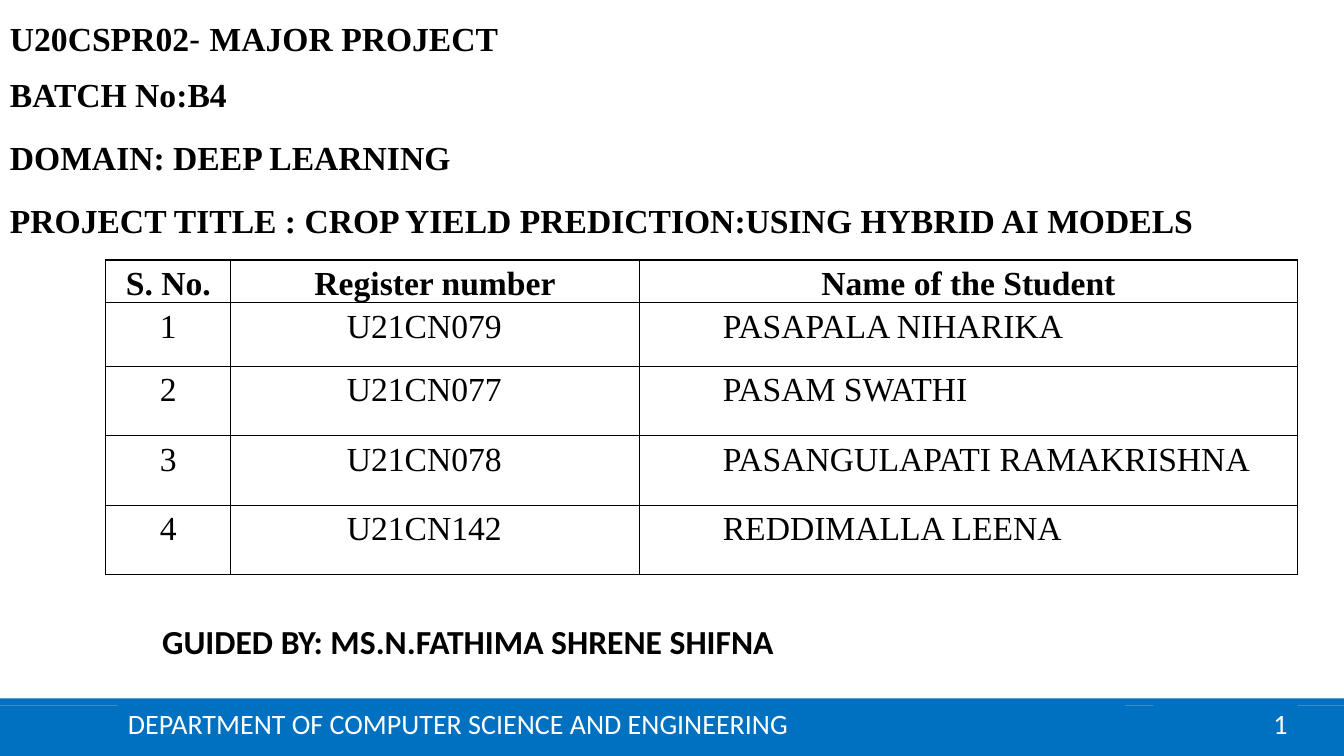
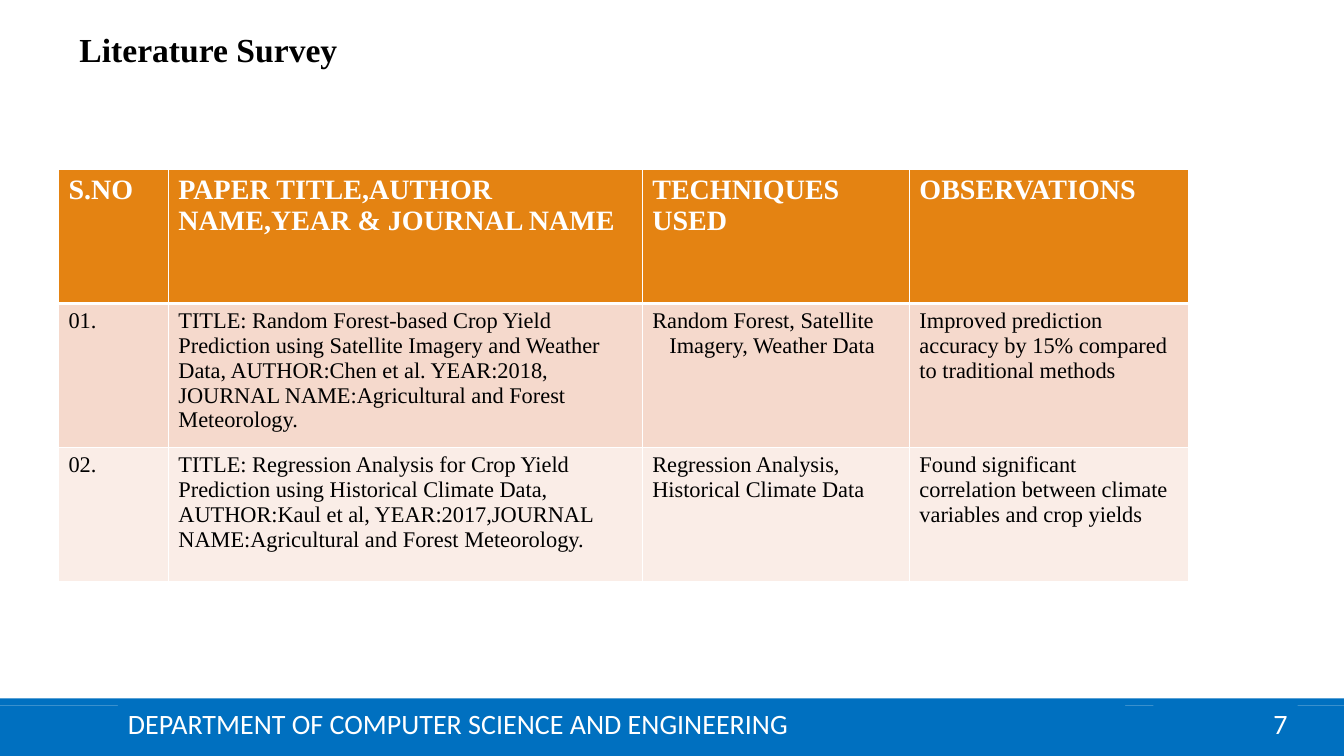
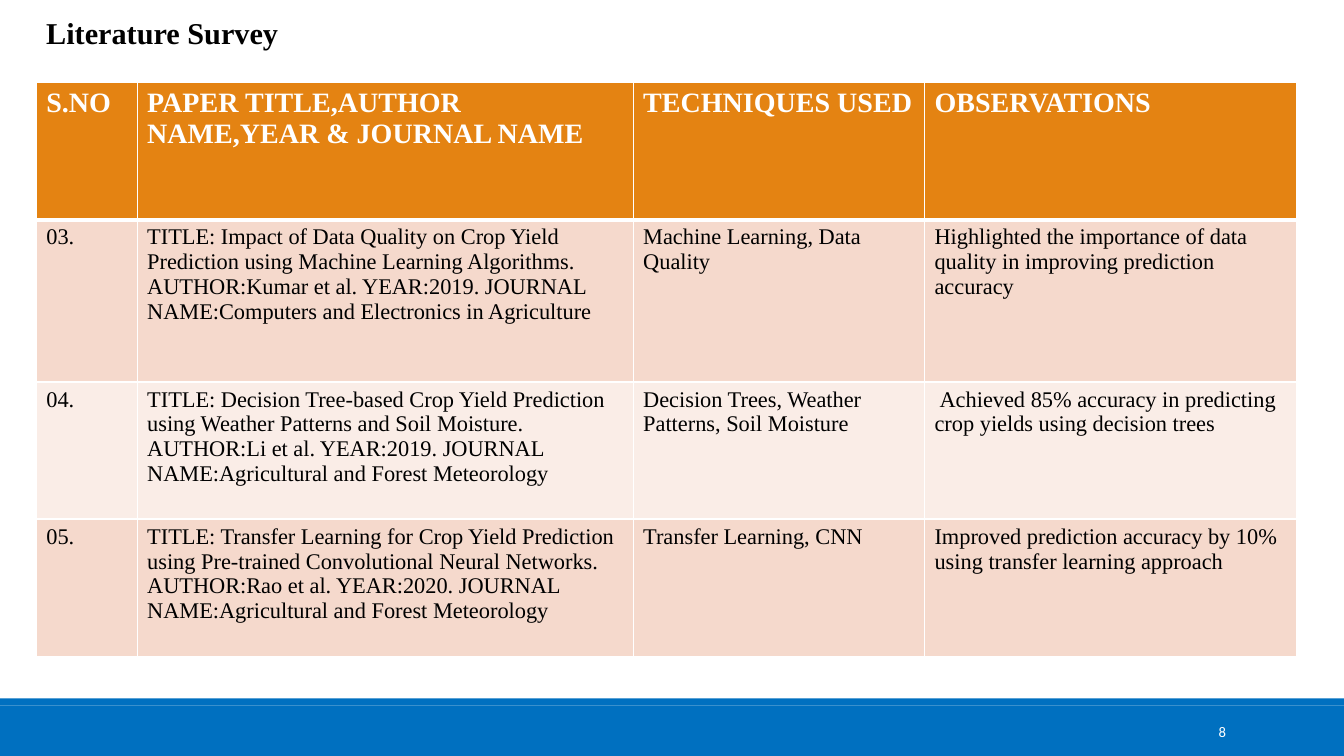
from dataclasses import dataclass

from pptx import Presentation
from pptx.dml.color import RGBColor
from pptx.enum import shapes, text
from pptx.oxml import parse_xml
from pptx.oxml.ns import nsdecls
from pptx.util import Inches, Pt


@dataclass(frozen=True)
class Theme:
    blue: str = "0070C0"
    orange: str = "E48312"
    dark_band: str = "F5D9CC"
    light_band: str = "FAEDE7"
    black: str = "000000"
    white: str = "FFFFFF"
    serif: str = "Times New Roman"
    sans: str = "Calibri"
    plain: str = "Arial"
    large: float = 24
    title_small: float = 21.6
    footer: float = 20
    table_head: float = 20
    body: float = 16
    number_small: float = 10.5


THEME = Theme()
LEFT, CENTER, RIGHT = text.PP_ALIGN.LEFT, text.PP_ALIGN.CENTER, text.PP_ALIGN.RIGHT
HEADING = dict(size=THEME.large, name=THEME.serif, bold=True)

# Content: cover
COVER_LINES = [
    (0.13, [("U20CSPR02", {}), ("- ", dict(name=THEME.plain, bold=False)),
            ("MAJOR PROJECT", {})]),
    (0.68, [("BATCH No:B4", {})]),
    (1.31, [("DOMAIN: DEEP LEARNING", {})]),
    (1.93, [("PROJECT TITLE : CROP YIELD PREDICTION:USING HYBRID AI MODELS", {})]),
]
GUIDE = "GUIDED BY: MS.N.FATHIMA SHRENE SHIFNA"
DEPARTMENT = "DEPARTMENT OF COMPUTER SCIENCE AND ENGINEERING"
STUDENTS = [
    ("S. No.", "Register number", "Name of the Student"),
    ("1", "U21CN079", "PASAPALA NIHARIKA"),
    ("2", "U21CN077", "PASAM SWATHI"),
    ("3", "U21CN078", "PASANGULAPATI RAMAKRISHNA"),
    ("4", "U21CN142", "REDDIMALLA LEENA"),
]
STUDENT_INDENTS = (0, 1.08, 0.76)

# Content: surveys; indents are (left margin, first line) by (row, column)
SURVEY_HEAD = ("S.NO", "PAPER TITLE,AUTHOR NAME,YEAR & JOURNAL NAME",
               "TECHNIQUES USED", "OBSERVATIONS")
SURVEYS = [
    dict(
        number="7", footer=True, title_at=(0.69, 0.24), title_size=THEME.large,
        at=(0.58, 1.68), columns=(1.09, 4.7, 2.65, 2.77), heights=(1.33, 1.33, 1.33),
        indents={(1, 2): (0.17, -0.17)},
        rows=[
            ("01.",
             "TITLE: Random Forest-based Crop Yield Prediction using Satellite Imagery "
             "and Weather Data, AUTHOR:Chen et al. YEAR:2018, JOURNAL "
             "NAME:Agricultural and Forest Meteorology.",
             "Random Forest, Satellite Imagery, Weather Data",
             "Improved prediction accuracy by 15% compared to traditional methods"),
            ("02.",
             "TITLE: Regression Analysis for Crop Yield Prediction using Historical "
             "Climate Data, AUTHOR:Kaul et al, YEAR:2017,JOURNAL "
             "NAME:Agricultural and Forest Meteorology.",
             "Regression Analysis, Historical Climate Data",
             "Found significant correlation between climate variables and crop yields"),
        ]),
    dict(
        number="8", footer=False, title_at=(0.36, 0.09), title_size=THEME.title_small,
        at=(0.36, 0.82), columns=(1, 4.92, 2.89, 3.69), heights=(1.36, 1.61, 1.36, 1.36),
        indents={(2, 3): (0, 0.05)},
        rows=[
            ("03.",
             "TITLE: Impact of Data Quality on Crop Yield Prediction using Machine "
             "Learning Algorithms.\nAUTHOR:Kumar et al. YEAR:2019. JOURNAL "
             "NAME:Computers and Electronics in Agriculture",
             "Machine Learning, Data Quality",
             "Highlighted the importance of data quality in improving prediction accuracy"),
            ("04.",
             "TITLE: Decision Tree-based Crop Yield Prediction using Weather Patterns "
             "and Soil Moisture.\nAUTHOR:Li et al. YEAR:2019. JOURNAL "
             "NAME:Agricultural and Forest Meteorology",
             "Decision Trees, Weather Patterns, Soil Moisture",
             "Achieved 85% accuracy in predicting crop yields using decision trees"),
            ("05.",
             "TITLE: Transfer Learning for Crop Yield Prediction using Pre-trained "
             "Convolutional Neural Networks.\nAUTHOR:Rao et al. YEAR:2020. JOURNAL "
             "NAME:Agricultural and Forest Meteorology",
             "Transfer Learning, CNN",
             "Improved prediction accuracy by 10% using transfer learning approach"),
        ]),
]


# Text helpers
def write_run(paragraph, words, color=THEME.black, **font):
    run = paragraph.add_run()
    run.text = words
    run.font.color.rgb = RGBColor.from_string(color)
    for key, value in font.items():
        setattr(run.font, key, Pt(value) if key == "size" else value)


def add_text(slide, left, top, width, runs, **font):
    box = slide.shapes.add_textbox(*map(Inches, (left, top, width, 0.5)))
    box.text_frame.word_wrap = True
    for words, changes in runs:
        write_run(box.text_frame.paragraphs[0], words, **{**font, **changes})


# Blue bands and footer
def add_bar(slide, box, words="", align=LEFT, size=THEME.footer):
    bar = slide.shapes.add_shape(shapes.MSO_SHAPE.RECTANGLE, *map(Inches, box))
    bar.shadow.inherit = False
    bar.fill.solid()
    bar.fill.fore_color.rgb = RGBColor.from_string(THEME.blue)
    bar.line.fill.background()
    if words:
        bar.text_frame.vertical_anchor = text.MSO_ANCHOR.MIDDLE
        paragraph = bar.text_frame.paragraphs[0]
        paragraph.alignment = align
        write_run(paragraph, words, THEME.white, size=size, name=THEME.sans)


def new_slide(presentation, number, footer=True):
    slide = presentation.slides.add_slide(presentation.slide_layouts[6])
    add_bar(slide, (0, 7, 13.33, 0.5))
    add_bar(slide, (0, 6.93, 13.33, 0.07))
    if footer:
        add_bar(slide, (11.44, 6.98, 1.43, 0.4), number, RIGHT)
        add_bar(slide, (1.17, 6.98, 9.99, 0.39), DEPARTMENT)
    else:
        add_bar(slide, (10.83, 7.06, 1.43, 0.4), number, RIGHT, THEME.number_small)
    return slide


# Tables
def add_table(slide, at, columns, heights):
    size = (sum(columns), sum(heights))
    table = slide.shapes.add_table(len(heights), len(columns),
                                   *map(Inches, at + size)).table
    for column, width in zip(table.columns, columns):
        column.width = Inches(width)
    for row, height in zip(table.rows, heights):
        row.height = Inches(height)
    return table


def style_cell(cell, border, fill=None, top=1, bottom=1):
    properties = cell._tc.get_or_add_tcPr()
    for side, width in zip("LRTB", (1, 1, top, bottom)):
        properties.append(parse_xml(
            f'<a:ln{side} {nsdecls("a")} w="{Pt(width)}"><a:solidFill>'
            f'<a:srgbClr val="{border}"/></a:solidFill></a:ln{side}>'))
    if fill:
        cell.fill.solid()
        cell.fill.fore_color.rgb = RGBColor.from_string(fill)
    else:
        cell.fill.background()


def fill_cell(cell, words, align=LEFT, spacing=1.0, indent=(0, 0), **font):
    for index, line in enumerate(words.split("\n")):
        frame = cell.text_frame
        paragraph = frame.add_paragraph() if index else frame.paragraphs[0]
        paragraph.alignment = align
        paragraph.line_spacing = spacing
        properties = paragraph._p.get_or_add_pPr()
        for key, value in zip(("marL", "indent"), indent):
            properties.set(key, str(Inches(value)))
        write_run(paragraph, line, **font)


def add_students(slide):
    table = add_table(slide, (1.05, 2.58), (1.24, 4.05, 6.53),
                      (0.41, 0.63, 0.69, 0.69, 0.69))
    margins = dict(margin_left=0.07, margin_right=0.07, margin_top=0, margin_bottom=0)
    for r, row in enumerate(STUDENTS):
        for c, words in enumerate(row):
            cell = table.cell(r, c)
            for key, value in margins.items():
                setattr(cell, key, Inches(value))
            style_cell(cell, THEME.black)
            centered = r == 0 or c == 0
            fill_cell(cell, words, CENTER if centered else LEFT, 1.15,
                      (0 if centered else STUDENT_INDENTS[c], 0),
                      size=THEME.large, name=THEME.serif, bold=r == 0)


def add_survey(slide, survey):
    table = add_table(slide, survey["at"], survey["columns"], survey["heights"])
    for r, row in enumerate([SURVEY_HEAD] + survey["rows"]):
        head = r == 0
        fill = THEME.orange if head else (THEME.light_band, THEME.dark_band)[r % 2]
        for c, words in enumerate(row):
            cell = table.cell(r, c)
            style_cell(cell, THEME.white, fill, 3 if r == 1 else 1, 3 if head else 1)
            fill_cell(cell, words, indent=survey["indents"].get((r, c), (0, 0)),
                      color=THEME.white if head else THEME.black,
                      size=THEME.table_head if head else THEME.body,
                      name=THEME.serif, bold=head)


def main():
    presentation = Presentation()
    presentation.slide_width, presentation.slide_height = Inches(13.33), Inches(7.5)

    # Cover
    cover = new_slide(presentation, "1")
    add_students(cover)
    add_text(cover, 1.51, 6.11, 7.12, [(GUIDE, {})], **{**HEADING, "name": THEME.sans})
    for top, runs in COVER_LINES:
        add_text(cover, 0, top, 13, runs, **HEADING)

    # Literature surveys
    for survey in SURVEYS:
        slide = new_slide(presentation, survey["number"], survey["footer"])
        add_text(slide, *survey["title_at"], 11, [("Literature Survey", {})],
                 **{**HEADING, "size": survey["title_size"]})
        add_survey(slide, survey)

    presentation.save("out.pptx")


if __name__ == "__main__":
    main()
